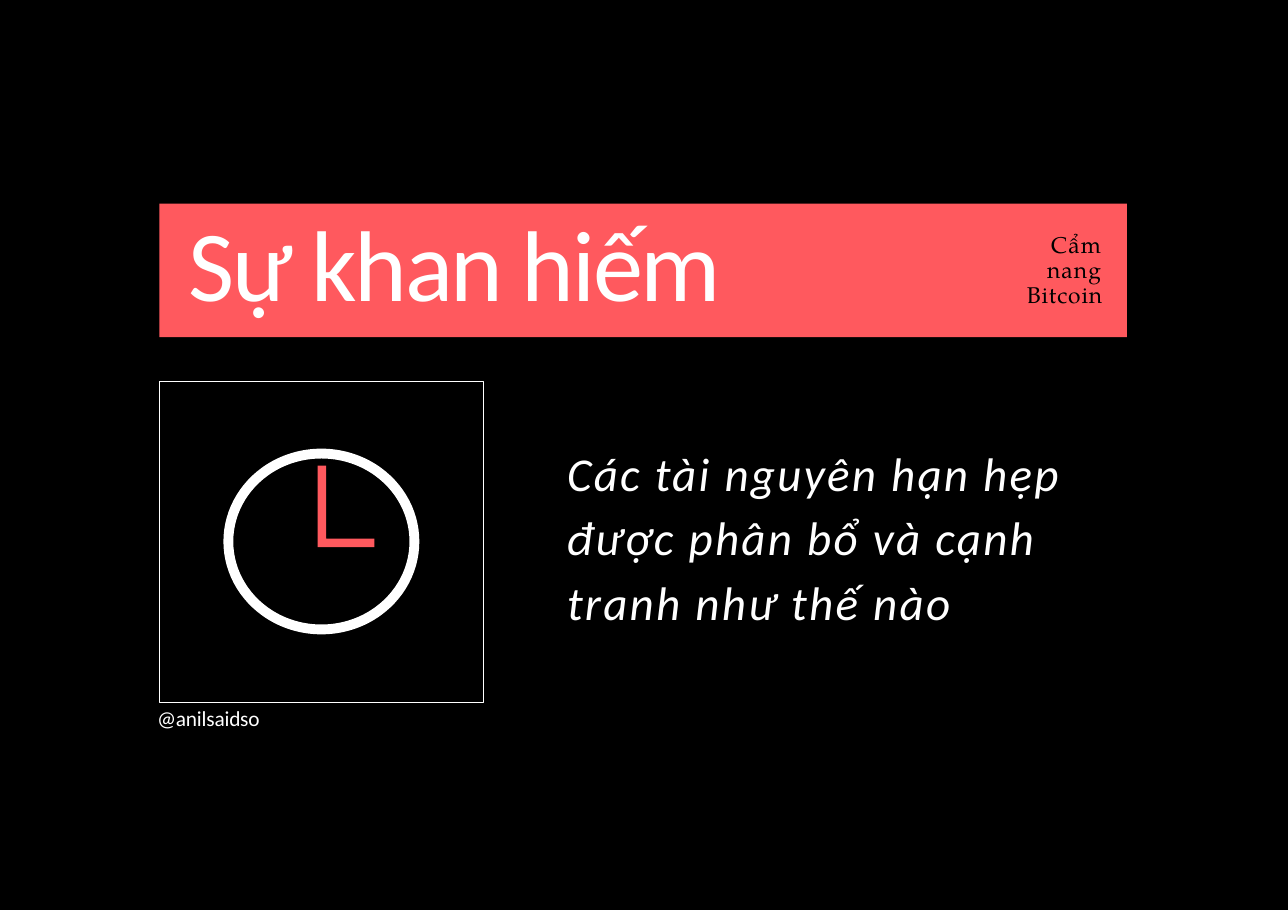
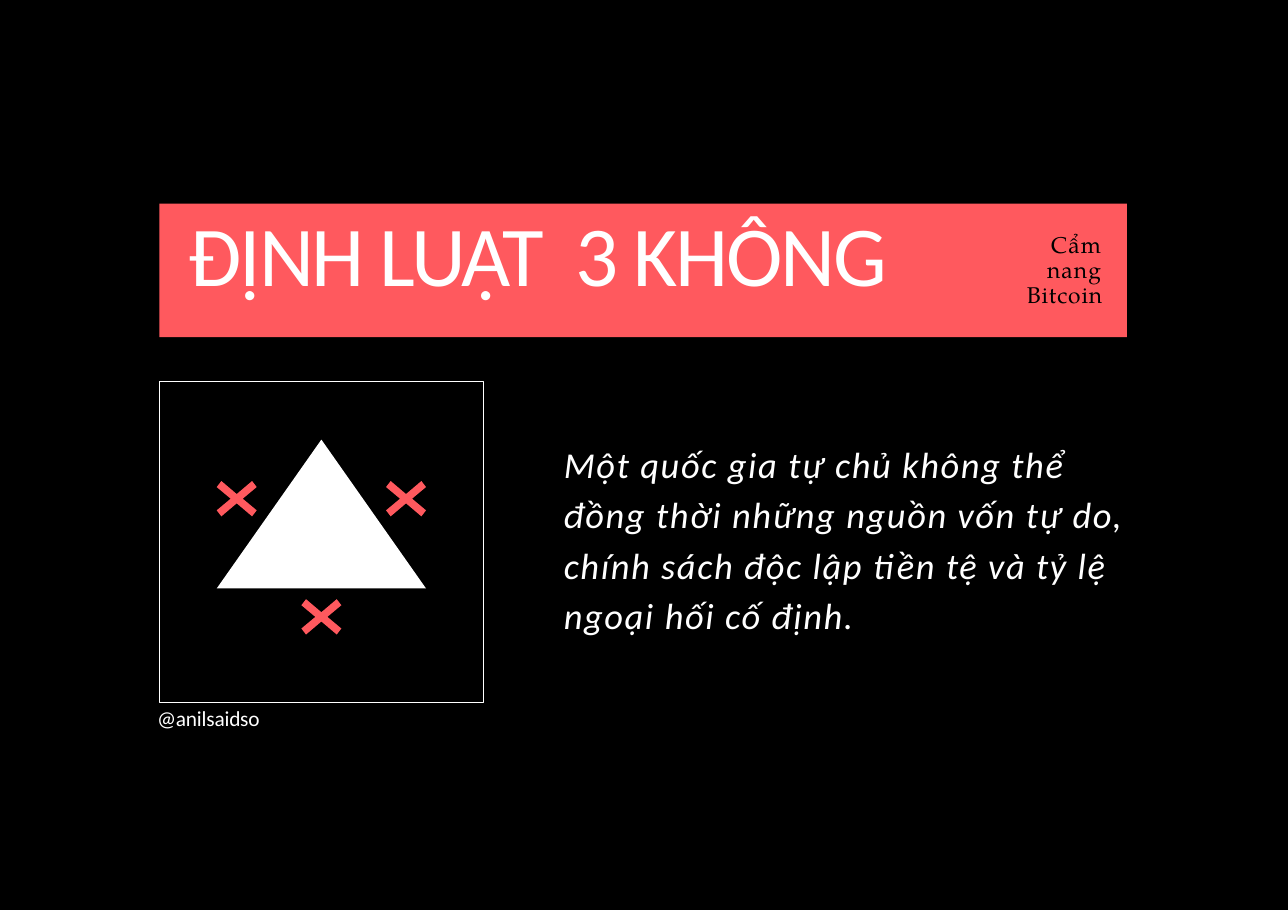
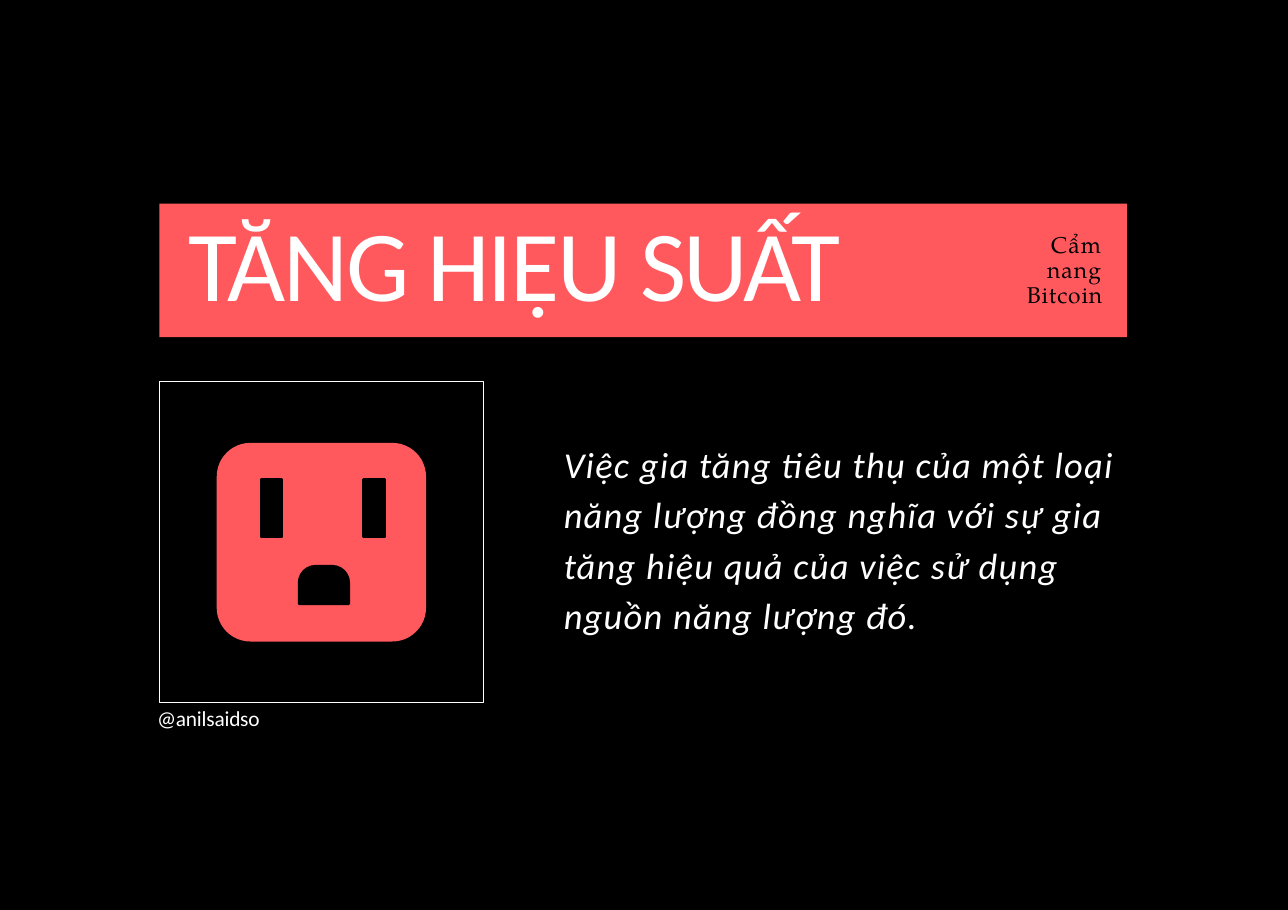
from dataclasses import dataclass

from lxml.etree import SubElement
from pptx import Presentation
from pptx.dml.color import RGBColor as Rgb
from pptx.enum.shapes import MSO_SHAPE as Kind
from pptx.enum.text import MSO_ANCHOR as Anchor, MSO_AUTO_SIZE as Fit, PP_ALIGN as Align
from pptx.oxml.ns import qn
from pptx.util import Cm, Pt


@dataclass(frozen=True)
class Theme:
    black: Rgb = Rgb(0x00, 0x00, 0x00)
    white: Rgb = Rgb(0xFF, 0xFF, 0xFF)
    coral: Rgb = Rgb(0xFF, 0x59, 0x5E)
    sans: str = "Calibri"
    serif: str = "TeX Gyre Pagella"
    head: float = 61.2
    long_head: float = 51.9
    lead: float = 28.7
    text: float = 22.2
    small: float = 13
    tag: float = 13.9


T = Theme()
LEFT, TOP, SIDE, TALL = 3.43, 8.2, 6.96, 6.9
MID = LEFT + SIDE / 2


def write(box, text, size, color=T.white, font=T.sans, gap=0, italic=False,
          align=Align.LEFT, lines=1.0):
    frame = box.text_frame
    frame.word_wrap = True
    frame.auto_size = Fit.NONE
    frame.vertical_anchor = Anchor.TOP
    frame.margin_left = frame.margin_right = 0
    frame.margin_top = frame.margin_bottom = 0
    para = frame.paragraphs[0]
    para.alignment = align
    para.line_spacing = lines
    para.space_before = Pt(0)
    props = para._p.get_or_add_pPr()
    props.set("marL", "0")
    props.set("indent", "0")
    SubElement(props, qn("a:buNone"))
    parts = [(text, gap)] if isinstance(text, str) else text
    for words, space in parts:
        run = para.add_run()
        run.text = words
        run.font.size = Pt(size)
        run.font.name = font
        run.font.italic = italic
        run.font.color.rgb = color
        run.font._element.set("spc", str(round(space * 100)))


def place(box, x, y, w, h):
    box.left, box.top, box.width, box.height = Cm(x), Cm(y), Cm(w), Cm(h)
    return box


def label(slide, x, y, w, h, text, **form):
    box = slide.shapes.add_textbox(Cm(x), Cm(y), Cm(w), Cm(h))
    write(box, text, **form)


def paint(shape, fill=None, line=None, width=1):
    shape.shadow.inherit = False
    if fill is None:
        shape.fill.background()
    else:
        shape.fill.solid()
        shape.fill.fore_color.rgb = fill
    if line is None:
        shape.line.fill.background()
    else:
        shape.line.color.rgb = line
        shape.line.width = Pt(width)


def draw(slide, kind, x, y, w, h, bends=(), **look):
    shape = slide.shapes.add_shape(kind, Cm(x), Cm(y), Cm(w), Cm(h))
    for i, bend in enumerate(bends):
        shape.adjustments[i] = bend
    paint(shape, **look)


def trace(slide, x, y, points, **look):
    spots = [(Cm(x + dx), Cm(y + dy)) for dx, dy in points]
    pen = slide.shapes.build_freeform(*spots[0])
    pen.add_line_segments(spots[1:], close=True)
    paint(pen.convert_to_shape(), **look)


def cross(slide, x, y):
    half = [(0.43, -0.25), (0.33, -0.38), (0, -0.1),
            (-0.33, -0.38), (-0.43, -0.25), (-0.13, 0)]
    trace(slide, x, y, half + [(-dx, -dy) for dx, dy in half], fill=T.coral)


def clock(slide):
    draw(slide, Kind.OVAL, MID - 2, 9.75, 4, 3.78, line=T.white, width=6)
    hands = [(0, 0), (0.18, 0), (0.18, 1.57), (1.22, 1.57), (1.22, 1.75), (0, 1.75)]
    trace(slide, 6.83, 10.01, hands, fill=T.coral)


def triad(slide):
    draw(slide, Kind.ISOSCELES_TRIANGLE, MID - 2.25, 9.45, 4.5, 3.2, fill=T.white)
    for dx, y in ((-1.82, 10.72), (1.82, 10.72), (0, 13.26)):
        cross(slide, MID + dx, y)


def socket(slide):
    ink = dict(fill=T.black, line=T.black, width=1.5)
    draw(slide, Kind.ROUNDED_RECTANGLE, MID - 2.25, 9.52, 4.5, 4.27,
         bends=[0.17], fill=T.coral)
    for x in (5.61, 7.82):
        draw(slide, Kind.RECTANGLE, x, 10.31, 0.46, 1.24, **ink)
    draw(slide, Kind.ROUND_2_SAME_RECTANGLE, 6.43, 12.17, 1.07, 0.81,
         bends=[0.44, 0], **ink)


def card(deck, title, text, icon, head=T.head, size=T.text, gap=1.0, x=12.12):
    slide = deck.slides.add_slide(deck.slide_layouts[1])
    name, body = slide.placeholders
    draw(slide, Kind.RECTANGLE, LEFT, TOP, SIDE, TALL, line=T.white, width=0.75)
    draw(slide, Kind.RECTANGLE, LEFT, 4.38, 20.8, 2.87, fill=T.coral)
    for box in (name, body):
        slide.shapes._spTree.append(box._element)
    write(place(name, 4.06, 4.32, 16.6, 2.62), title, size=head, gap=-1.4)
    write(place(body, x, 9.36, 24.24 - x, 4.4), text, size=size, gap=gap,
          italic=True, lines=1.15)
    icon(slide)
    label(slide, 3.38, 15.16, 2.34, 0.56, "@anilsaidso", size=T.small, gap=-0.1)
    label(slide, 21.79, 5, 1.91, 1.62, [("Cẩm nang ", 0.7), ("Bitcoin", 0.5)],
          size=T.tag, color=T.black, font=T.serif, align=Align.RIGHT, lines=Pt(15.3))


def main():
    deck = Presentation()
    deck.slide_width, deck.slide_height = Cm(27.69), Cm(19.56)
    back = deck.slide_master.background.fill
    back.solid()
    back.fore_color.rgb = T.black
    card(deck, "Sự khan hiếm",
         "Các tài nguyên hạn hẹp được phân bổ và cạnh tranh như thế nào",
         clock, size=T.lead, gap=1.4, x=12.19)
    card(deck, "ĐỊNH LUẬT  3 KHÔNG",
         "Một quốc gia tự chủ không thể đồng thời những nguồn vốn tự do, "
         "chính sách độc lập tiền tệ và tỷ lệ ngoại hối cố định.",
         triad, head=T.long_head)
    card(deck, "TĂNG HIỆU SUẤT",
         "Việc gia tăng tiêu thụ của một loại năng lượng đồng nghĩa với sự gia "
         "tăng hiệu quả của việc sử dụng nguồn năng lượng đó.",
         socket, gap=0.8)
    deck.save("out.pptx")


if __name__ == "__main__":
    main()
